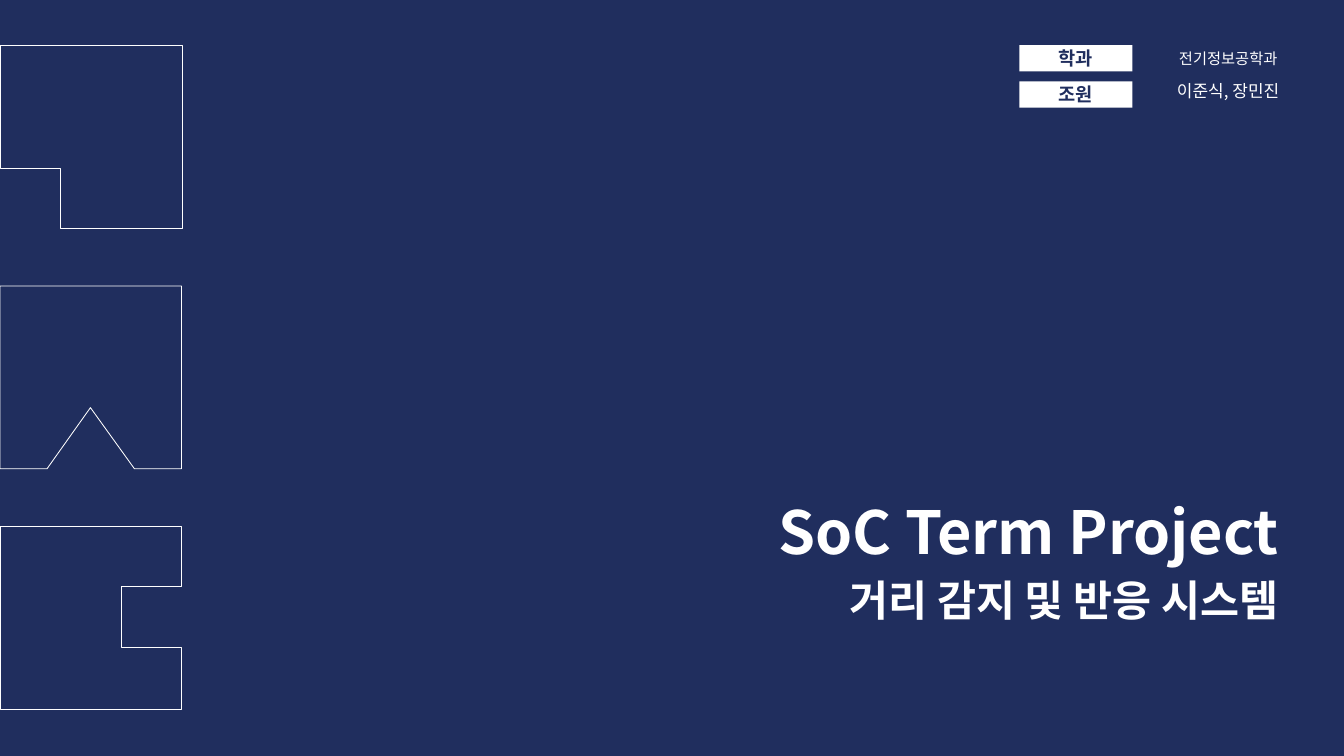
from dataclasses import dataclass

from lxml import etree
from pptx import Presentation, util as u
from pptx.dml.color import RGBColor
from pptx.enum import shapes as s, text as t
from pptx.oxml.ns import qn

PX = u.Inches(1) // 100


@dataclass(frozen=True)
class Theme:
    navy: RGBColor = RGBColor(0x20, 0x2E, 0x5E)
    white: RGBColor = RGBColor(0xFF, 0xFF, 0xFF)
    font: str = "Noto Sans CJK KR"
    title: int = 70
    subtitle: int = 50
    label: int = 22
    members: int = 20
    department: int = 18


THEME = Theme()
TILE_TOP, TILE_PITCH = 75, 393
TILE_OUTLINES = [
    [(0, 0), (299, 0), (299, 299), (99, 299), (99, 200), (0, 200)],
    [(0, 0), (297, 0), (297, 299), (220, 299), (148, 199), (77, 299), (0, 299)],
    [(1, 0), (297, 0), (297, 99), (198, 99), (198, 199), (297, 199), (297, 299), (1, 299)],
]
LABEL_TOP, LABEL_PITCH = 74, 59
LABELS = ["학과", "조원"]


def write(frame, wording, size, color, align, bold=False, margins=(10, 5, 10, 5)):
    left, top, right, bottom = (px * PX for px in margins)
    frame_format = {
        "word_wrap": True,
        "margin_left": left,
        "margin_top": top,
        "margin_right": right,
        "margin_bottom": bottom,
    }
    for name, value in frame_format.items():
        setattr(frame, name, value)
    paragraph = frame.paragraphs[0]
    paragraph.alignment = align
    run = paragraph.add_run()
    run.text = wording
    run.font.color.rgb = color
    for name, value in {"name": THEME.font, "size": u.Pt(size), "bold": bold}.items():
        setattr(run.font, name, value)
    etree.SubElement(run._r.get_or_add_rPr(), qn("a:ea"), typeface=THEME.font)


def add_caption(slide, box, wording, size, align, **options):
    caption = slide.shapes.add_textbox(*(px * PX for px in box))
    write(caption.text_frame, wording, size, THEME.white, align, **options)


def add_label(slide, top, wording):
    label = slide.shapes.add_shape(
        s.MSO_SHAPE.RECTANGLE, 1668 * PX, top * PX, 185 * PX, 43 * PX
    )
    label.shadow.inherit = False
    label.fill.solid()
    label.fill.fore_color.rgb = THEME.white
    label.line.fill.background()
    label.text_frame.vertical_anchor = t.MSO_ANCHOR.MIDDLE
    write(label.text_frame, wording, THEME.label, THEME.navy, t.PP_ALIGN.CENTER,
          bold=True, margins=(0, 0, 0, 0))


def add_tile(slide, top, outline):
    corners = [(x, top + y) for x, y in outline]
    builder = slide.shapes.build_freeform(*corners[0], scale=PX)
    builder.add_line_segments(corners[1:], close=True)
    tile = builder.convert_to_shape()
    tile.shadow.inherit = False
    tile.fill.solid()
    tile.fill.fore_color.rgb = THEME.navy
    tile.line.color.rgb = THEME.white
    tile.line.width = u.Pt(1)


def main():
    deck = Presentation()
    deck.slide_width, deck.slide_height = 2199 * PX, 1237 * PX
    cover = deck.slides.add_slide(deck.slide_layouts[6])
    cover.background.fill.solid()
    cover.background.fill.fore_color.rgb = THEME.navy

    for row, outline in enumerate(TILE_OUTLINES):
        add_tile(cover, TILE_TOP + row * TILE_PITCH, outline)
    for row, wording in enumerate(LABELS):
        add_label(cover, LABEL_TOP + row * LABEL_PITCH, wording)

    center, right = t.PP_ALIGN.CENTER, t.PP_ALIGN.RIGHT
    add_caption(cover, (1917, 75, 185, 40), "전기정보공학과", THEME.department, center)
    add_caption(cover, (1917, 129, 185, 35), "이준식, 장민진", THEME.members, center,
                margins=(0, 2, 0, 0))
    add_caption(cover, (1001, 806, 1101, 128), "SoC Term Project", THEME.title, right, bold=True)
    add_caption(cover, (1001, 935, 1101, 94), "거리 감지 및 반응 시스템", THEME.subtitle, right,
                bold=True)

    deck.save("out.pptx")


if __name__ == "__main__":
    main()
